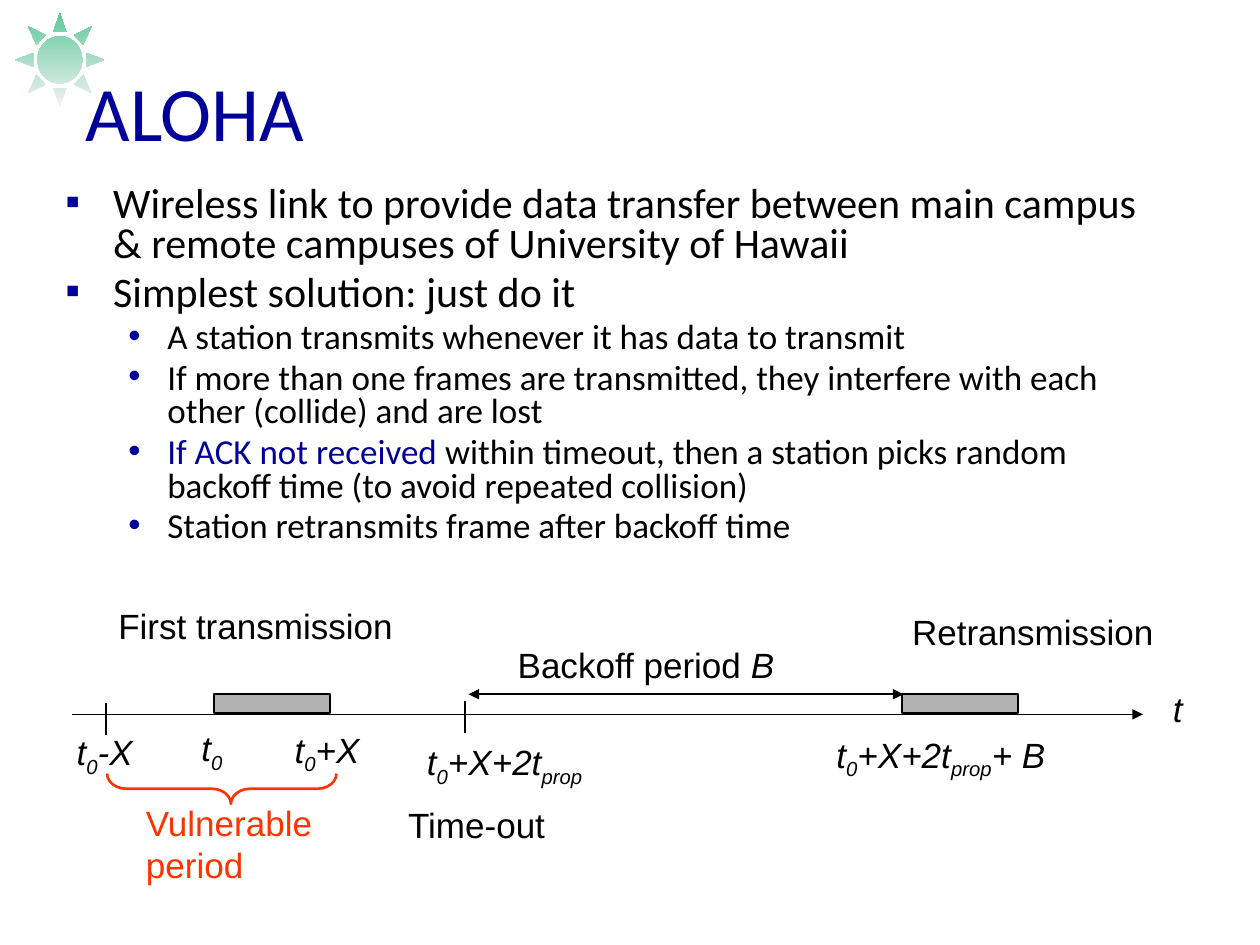
from dataclasses import dataclass

from lxml.etree import SubElement
from pptx import Presentation
from pptx.dml.color import RGBColor
from pptx.enum.shapes import MSO_CONNECTOR, MSO_SHAPE
from pptx.enum.text import MSO_ANCHOR, MSO_AUTO_SIZE, PP_ALIGN
from pptx.oxml.ns import qn
from pptx.util import Inches, Pt

NAVY = RGBColor(0x00, 0x00, 0x99)
BLACK = RGBColor(0x00, 0x00, 0x00)
GRAY = RGBColor(0xB2, 0xB2, 0xB2)
RED = RGBColor(0xFF, 0x33, 0x00)
PALE = RGBColor(0xF2, 0xF2, 0xF2)
GREEN = RGBColor(0x60, 0xC9, 0x9C)

AXIS_Y = 5.67
FRAME_W, FRAME_H = 0.92, 0.15
FRAME_TOP = 5.51


@dataclass
class Bullet:
    text: str
    level: int = 0
    lead: str = ""  # opening words, shown in navy


@dataclass
class BulletStyle:
    char: str
    size: int
    margin: float
    indent: float


@dataclass
class Label:
    text: str
    left: float
    top: float
    width: float
    height: float = 0.43
    color: RGBColor = BLACK
    wrap: bool = False
    tail: str = ""  # closing words, shown in italics


@dataclass
class TimeMark:
    """Terms alternate between the base line and subscript."""
    terms: tuple[str, ...]
    left: float
    top: float
    width: float


@dataclass
class Line:
    x1: float
    y1: float
    x2: float
    y2: float
    arrows: tuple[str, ...] = ()


BULLET_STYLES = [BulletStyle("▪", 24, 0.38, -0.38), BulletStyle("•", 20, 0.81, -0.31)]

BULLETS = [
    Bullet("Wireless link to provide data transfer between main campus "
           "& remote campuses of University of Hawaii"),
    Bullet("Simplest solution: just do it"),
    Bullet("A station transmits whenever it has data to transmit", 1),
    Bullet("If more than one frames are transmitted, they interfere with each "
           "other (collide) and are lost", 1),
    Bullet("within timeout, then a station picks random backoff time "
           "(to avoid repeated collision)", 1, lead="If ACK not received "),
    Bullet("Station retransmits frame after backoff time", 1),
]

LINES = [
    Line(0.57, AXIS_Y, 9.07, AXIS_Y, ("tailEnd",)),
    Line(0.84, 5.58, 0.84, 5.83),
    Line(3.69, 5.56, 3.69, 5.82),
    Line(3.72, FRAME_TOP, 7.17, FRAME_TOP, ("headEnd", "tailEnd")),
]

FRAME_LEFTS = [1.7, 7.16]

TIME_MARKS = [
    TimeMark(("t",), 9.21, 5.41, 0.27),
    TimeMark(("t", "0"), 1.5, 5.72, 0.38),
    TimeMark(("t", "0", "-X"), 0.51, 5.75, 0.65),
    TimeMark(("t", "0", "+X"), 2.24, 5.73, 0.72),
    TimeMark(("t", "0", "+X+2t", "prop"), 3.29, 5.83, 1.48),
    TimeMark(("t", "0", "+X+2t", "prop", "+ B"), 6.54, 5.77, 1.93),
]

LABELS = [
    Label("First transmission", 0.84, 4.75, 2.78, wrap=True),
    Label("Retransmission", 7.14, 4.8, 2.16, wrap=True),
    Label("Backoff period ", 4.01, 5.06, 2.88, wrap=True, tail="B"),
    Label("Time-out", 3.14, 6.33, 1.29),
    Label("Vulnerable\nperiod", 1.06, 6.31, 1.53, 0.76, RED),
]


def add_run(p, text: str, *, size=20, font="Arial", color=BLACK, italic=False, subscript=False):
    r = p.add_run()
    r.text = text
    r.font.size = Pt(size)
    r.font.name = font
    r.font.color.rgb = color
    r.font.italic = italic
    if subscript:
        r._r.get_or_add_rPr().set("baseline", "-25000")


def add_text_frame(slide, left, top, width, height, wrap=False):
    box = slide.shapes.add_textbox(Inches(left), Inches(top), Inches(width), Inches(height))
    tf = box.text_frame
    tf.word_wrap = wrap
    return tf


def add_title(slide, text: str):
    sp = slide.shapes.title
    sp.left, sp.top, sp.width, sp.height = map(Inches, (0.58, 0.25, 8.5, 1.25))
    tf = sp.text_frame
    tf.vertical_anchor = MSO_ANCHOR.MIDDLE
    p = tf.paragraphs[0]
    p.alignment = PP_ALIGN.LEFT
    add_run(p, text, size=44, font="Calibri", color=NAVY)


def add_bullets(slide, bullets: list[Bullet]):
    tf = add_text_frame(slide, 0.42, 1.43, 8.83, 3.17, wrap=True)
    for i, bullet in enumerate(bullets):
        style = BULLET_STYLES[bullet.level]
        p = tf.paragraphs[0] if i == 0 else tf.add_paragraph()
        p.level = bullet.level
        p.line_spacing = 0.8
        p.space_before = Pt(0.2 * style.size)
        pPr = p._p.get_or_add_pPr()
        pPr.set("marL", str(Inches(style.margin)))
        pPr.set("indent", str(Inches(style.indent)))
        SubElement(SubElement(pPr, qn("a:buClr")), qn("a:srgbClr"), val=str(NAVY))
        SubElement(pPr, qn("a:buFont"), typeface="Arial")
        SubElement(pPr, qn("a:buChar"), char=style.char)
        if bullet.lead:
            add_run(p, bullet.lead, size=style.size, font="Calibri", color=NAVY)
        add_run(p, bullet.text, size=style.size, font="Calibri")


def add_line(slide, line: Line):
    cx = slide.shapes.add_connector(
        MSO_CONNECTOR.STRAIGHT, *map(Inches, (line.x1, line.y1, line.x2, line.y2)))
    cx.line.color.rgb = BLACK
    cx.line.width = Pt(1)
    spPr = cx._element.spPr
    for end in line.arrows:
        SubElement(spPr.find(qn("a:ln")), qn(f"a:{end}"), type="triangle")
    SubElement(spPr, qn("a:effectLst"))


def add_shape(slide, kind, left, top, width, height, *, fill=None, line=None, line_width=1.0):
    sp = slide.shapes.add_shape(kind, *map(Inches, (left, top, width, height)))
    sp.shadow.inherit = False
    if fill is None:
        sp.fill.background()
    else:
        sp.fill.solid()
        sp.fill.fore_color.rgb = fill
    if line is None:
        sp.line.fill.background()
    else:
        sp.line.color.rgb = line
        sp.line.width = Pt(line_width)
    return sp


def add_time_mark(slide, mark: TimeMark):
    tf = add_text_frame(slide, mark.left, mark.top, mark.width, 0.43)
    tf.auto_size = MSO_AUTO_SIZE.SHAPE_TO_FIT_TEXT
    for i, term in enumerate(mark.terms):
        add_run(tf.paragraphs[0], term, italic=True, subscript=i % 2 == 1)


def add_label(slide, label: Label):
    tf = add_text_frame(slide, label.left, label.top, label.width, label.height, label.wrap)
    tf.auto_size = MSO_AUTO_SIZE.SHAPE_TO_FIT_TEXT
    for i, text in enumerate(label.text.split("\n")):
        p = tf.paragraphs[0] if i == 0 else tf.add_paragraph()
        add_run(p, text, color=label.color)
    if label.tail:
        add_run(p, label.tail, color=label.color, italic=True)


def main():
    prs = Presentation()
    prs.slide_width, prs.slide_height = Inches(10), Inches(7.5)
    slide = prs.slides.add_slide(prs.slide_layouts[5])

    sun = add_shape(slide, MSO_SHAPE.SUN, 0.12, 0.1, 0.71, 0.75)
    sun.fill.gradient()
    sun.fill.gradient_angle = 90
    for stop, color, position in zip(sun.fill.gradient_stops, (PALE, GREEN), (0, 1)):
        stop.color.rgb = color
        stop.position = position

    add_title(slide, "ALOHA")
    add_bullets(slide, BULLETS)
    for line in LINES:
        add_line(slide, line)
    for left in FRAME_LEFTS:
        add_shape(slide, MSO_SHAPE.RECTANGLE, left, FRAME_TOP, FRAME_W, FRAME_H,
                  fill=GRAY, line=BLACK)
    for mark in TIME_MARKS:
        add_time_mark(slide, mark)
    for label in LABELS:
        add_label(slide, label)

    brace = add_shape(slide, MSO_SHAPE.LEFT_BRACE, 1.64, 5.35, 0.24, 1.82,
                      line=RED, line_width=1.5)
    brace.rotation = 270
    brace.adjustments[0], brace.adjustments[1] = 0.63, 0.54

    prs.save("out.pptx")


if __name__ == "__main__":
    main()
